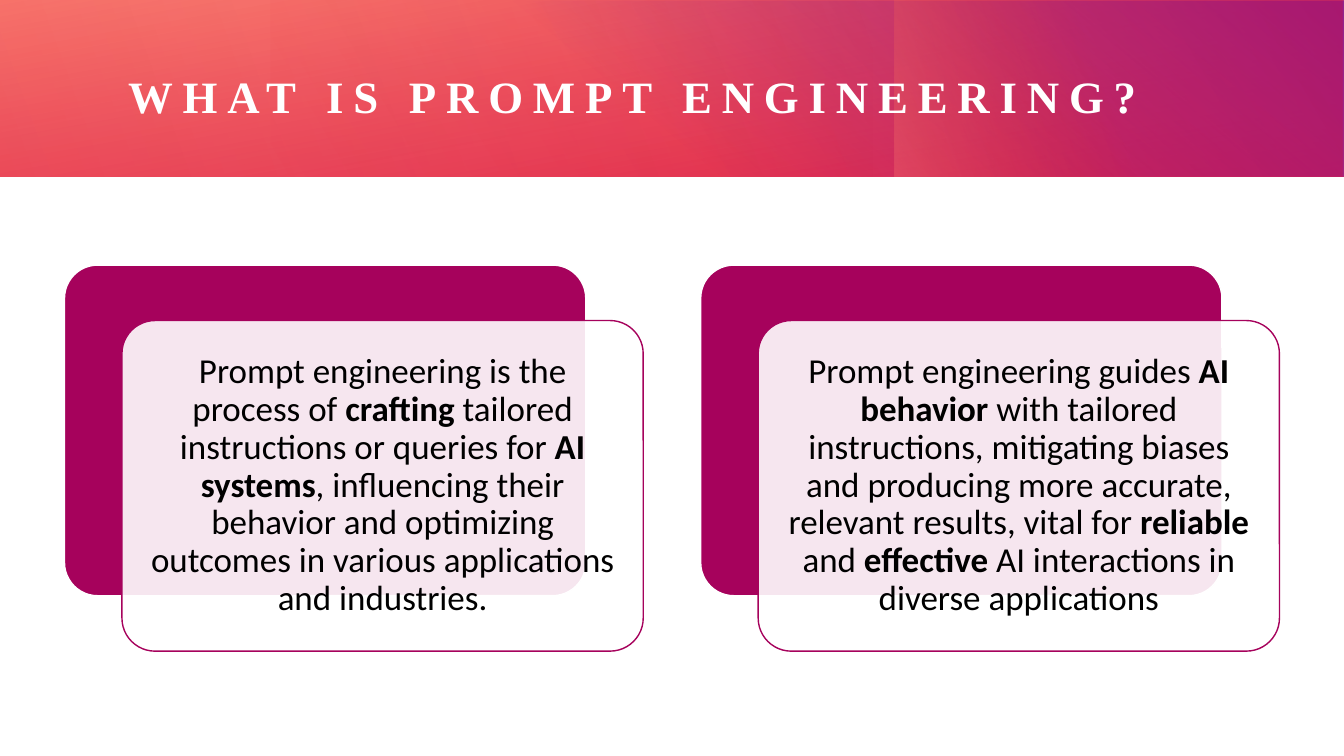
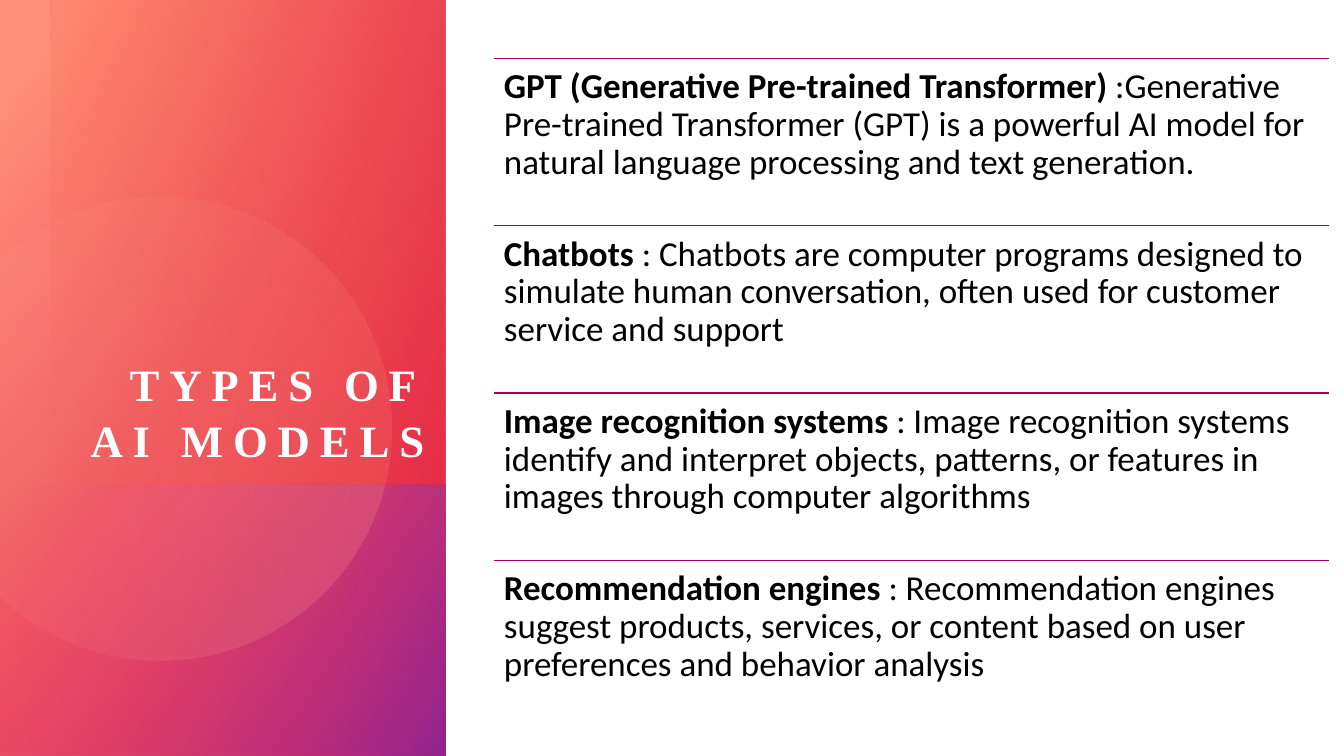
from math import acos, cos, degrees, radians, sin

from pptx import Presentation
from pptx.dml.color import RGBColor
from pptx.enum.shapes import MSO_CONNECTOR, MSO_SHAPE
from pptx.enum.text import MSO_ANCHOR, PP_ALIGN
from pptx.oxml.ns import qn
from pptx.util import Pt

PX = 9144
WIDTH, HEIGHT = 1333, 750
COLORS = {
    "white": "FFFFFF",
    "black": "000000",
    "magenta": "A6025C",
    "red": "DA002F",
    "coral": "FF907A",
    "blush": "FFBCAF",
    "orange": "FE4A00",
    "pink": "FF5076",
    "purple": "92248E",
}


class Deck:
    """Holds the shared style and the current slide."""

    def __init__(self):
        self.presentation = Presentation()
        self.presentation.slide_width = WIDTH * PX
        self.presentation.slide_height = HEIGHT * PX
        self.slide = None

    def new_slide(self):
        self.slide = self.presentation.slides.add_slide(self.presentation.slide_layouts[6])

    def color(self, name):
        return RGBColor.from_string(COLORS[name])

    def set_opacity(self, shape, opacities):
        fill_colors = shape._element.spPr.iter(qn("a:srgbClr"))
        for fill_color, opacity in zip(list(fill_colors), opacities):
            if opacity < 100:
                alpha = fill_color.makeelement(qn("a:alpha"), {"val": str(opacity * 1000)})
                fill_color.append(alpha)

    def paint_gradient(self, shape, angle, stops):
        shape.shadow.inherit = False
        shape.line.fill.background()
        shape.fill.gradient()
        shape.fill.gradient_angle = 360 - angle
        for stop, (position, name, _) in zip(shape.fill.gradient_stops, stops):
            stop.position = position / 100
            stop.color.rgb = self.color(name)
        self.set_opacity(shape, [opacity for _, _, opacity in stops])

    def band(self, box, angle, *stops):
        shape = self.slide.shapes.add_shape(MSO_SHAPE.RECTANGLE, *(n * PX for n in box))
        self.paint_gradient(shape, angle, stops)

    def clipped_circle(self, center_x, center_y, radius, angle, *stops):
        limit = degrees(acos(-center_x / radius))
        steps = 120
        turns = [radians(limit * (2 * step / steps - 1)) for step in range(steps + 1)]
        points = [
            ((center_x + radius * cos(turn)) * PX, (center_y + radius * sin(turn)) * PX)
            for turn in turns
        ]
        outline = self.slide.shapes.build_freeform(*points[0])
        outline.add_line_segments(points[1:], close=True)
        self.paint_gradient(outline.convert_to_shape(), angle, stops)

    def card(self, box, fill, line, opacity=100):
        shape = self.slide.shapes.add_shape(MSO_SHAPE.ROUNDED_RECTANGLE, *(n * PX for n in box))
        shape.adjustments[0] = 0.1
        shape.shadow.inherit = False
        shape.fill.solid()
        shape.fill.fore_color.rgb = self.color(fill)
        self.set_opacity(shape, [opacity])
        shape.line.color.rgb = self.color(line)
        shape.line.width = Pt(1)
        return shape

    def set_text(self, shape, text, font, size, color, align, anchor, margin, spacing):
        frame = shape.text_frame
        frame.word_wrap = True
        frame.vertical_anchor = anchor
        frame.margin_left = frame.margin_right = margin * PX
        frame.margin_top = frame.margin_bottom = margin * PX
        paragraph = frame.paragraphs[0]
        paragraph.alignment = align
        paragraph.line_spacing = spacing
        paragraph.font.name = font
        paragraph.font.size = Pt(size)
        paragraph.font.color.rgb = self.color(color)
        for index, part in enumerate(text.split("**")):
            if part:
                run = paragraph.add_run()
                run.text = part
                if index % 2:
                    run.font.bold = True
        return paragraph

    def title(self, box, text, align, anchor):
        shape = self.slide.shapes.add_textbox(*(n * PX for n in box))
        paragraph = self.set_text(
            shape, text, "Times New Roman", 32, "white", align, anchor, 0, 1.05
        )
        paragraph.font.bold = True
        paragraph.font._element.set("spc", "700")

    def body(self, shape, text, align, anchor):
        self.set_text(shape, text, "Calibri", 25, "black", align, anchor, 10, 0.9)

    def definition_card(self, left, top, text):
        width, height = 517, 328
        self.card((left, top, width, height), "magenta", "white")
        front = self.card((left + 57, top + 55, width, height), "white", "magenta", 90)
        self.body(front, text, PP_ALIGN.CENTER, MSO_ANCHOR.MIDDLE)

    def ruled_entry(self, left, top, width, height, text):
        rule = self.slide.shapes.add_connector(
            MSO_CONNECTOR.STRAIGHT, left * PX, top * PX, (left + width) * PX, top * PX
        )
        rule.line.color.rgb = self.color("magenta")
        rule.line.width = Pt(1)
        properties = rule._element.spPr
        properties.append(properties.makeelement(qn("a:effectLst"), {}))
        entry = self.slide.shapes.add_textbox(*(n * PX for n in (left, top, width, height)))
        self.body(entry, text, PP_ALIGN.LEFT, MSO_ANCHOR.TOP)


DEFINITIONS = [
    "Prompt engineering is the process of **crafting** tailored instructions or queries for "
    "**AI systems**, influencing their behavior and optimizing outcomes in various "
    "applications and industries.",
    "Prompt engineering guides **AI behavior** with tailored instructions, mitigating biases "
    "and producing more accurate, relevant results, vital for **reliable** and **effective** "
    "AI interactions in diverse applications",
]
MODELS = [
    "**GPT (Generative Pre-trained Transformer) **:Generative Pre-trained Transformer (GPT) "
    "is a powerful AI model for natural language processing and text generation.",
    "**Chatbots** : Chatbots are computer programs designed to simulate human conversation, "
    "often used for customer service and support",
    "**Image recognition systems** : Image recognition systems identify and interpret "
    "objects, patterns, or features in images through computer algorithms",
    "**Recommendation engines** : Recommendation engines suggest products, services, or "
    "content based on user preferences and behavior analysis",
]


def add_definition_slide(deck):
    deck.new_slide()
    deck.band((0, 0, WIDTH, 175), 260, (0, "red", 83), (100, "coral", 100))
    deck.band((481, 1, 852, 174), 310, (22, "purple", 0), (99, "purple", 100))
    deck.band((887, 0, 374, 175), 160, (45, "orange", 0), (99, "coral", 33))
    deck.band((268, 0, 1064, 175), 150, (0, "red", 30), (99, "red", 0))
    deck.band((0, 0, 865, 175), 340, (0, "red", 21), (99, "red", 0))
    deck.title(
        (127, 41, 1135, 106), "WHAT IS PROMPT ENGINEERING?", PP_ALIGN.LEFT, MSO_ANCHOR.MIDDLE
    )
    for index, definition in enumerate(DEFINITIONS):
        deck.definition_card(64 + 631 * index, 263, definition)


def add_models_slide(deck):
    deck.new_slide()
    deck.band((0, 0, 442, HEIGHT), 40, (8, "coral", 100), (100, "red", 89))
    deck.band((0, 481, 442, 269), 30, (0, "pink", 0), (99, "purple", 100))
    deck.clipped_circle(158, 425, 230, 14, (36, "blush", 6), (100, "coral", 26))
    deck.band((50, 0, 392, 481), 160, (0, "red", 29), (100, "orange", 0))
    deck.title((50, 95, 371, 368), "TYPES OF AI MODELS", PP_ALIGN.RIGHT, MSO_ANCHOR.BOTTOM)
    pitch = 166
    for index, model in enumerate(MODELS):
        deck.ruled_entry(490, 58 + pitch * index, 828, pitch, model)


def main():
    deck = Deck()
    add_definition_slide(deck)
    add_models_slide(deck)
    deck.presentation.save("out.pptx")


if __name__ == "__main__":
    main()
